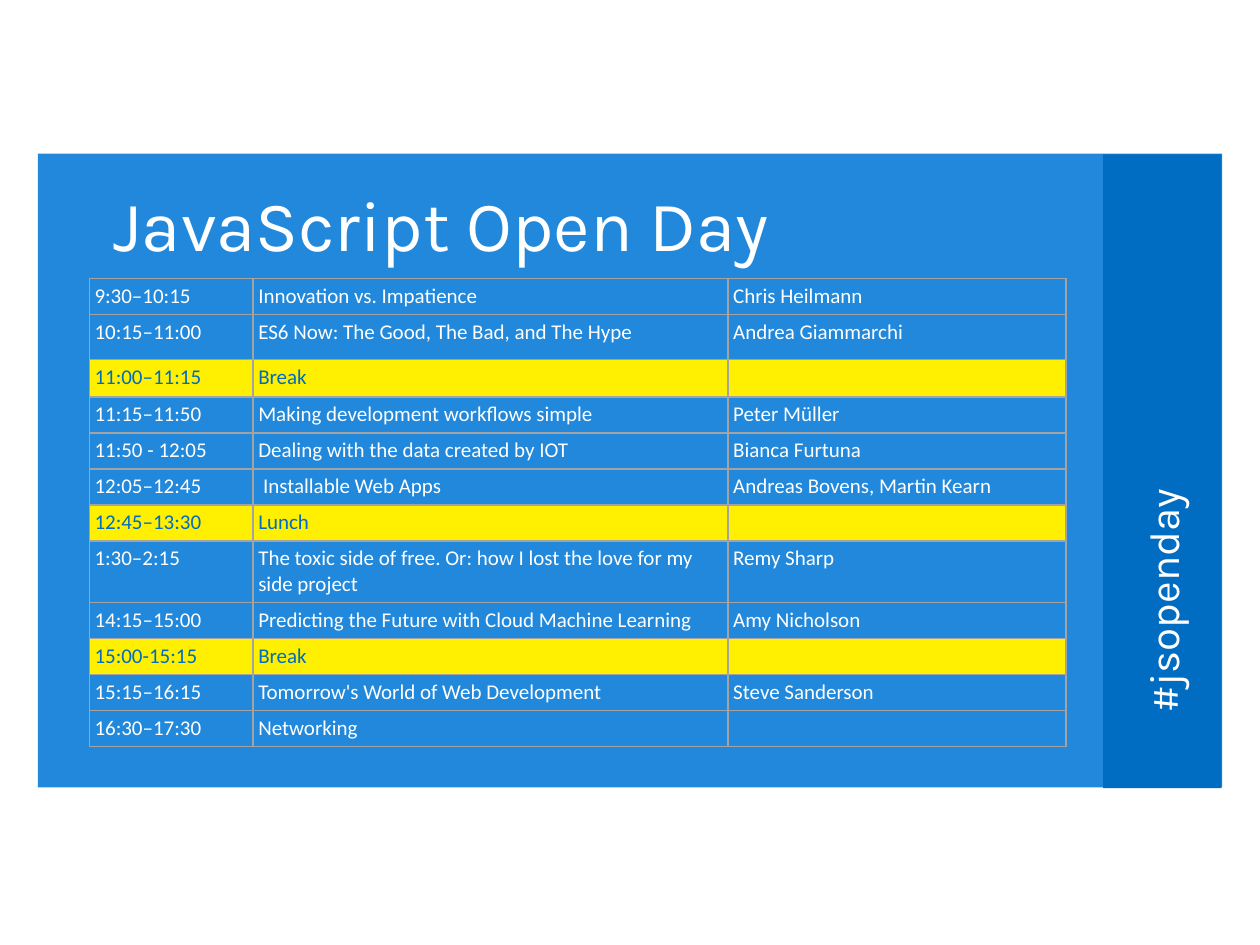
import pptx
import pptx.dml.color
import pptx.enum.shapes
import pptx.enum.text
import pptx.oxml
import pptx.oxml.ns
import pptx.util
from lxml import etree

Pt = pptx.util.Pt
RGB = pptx.dml.color.RGBColor
Anchor = pptx.enum.text.MSO_ANCHOR

BLUE = RGB(0x00, 0x77, 0xD6)
NAVY = RGB(0x00, 0x6C, 0xC2)
YELLOW = RGB(0xFE, 0xF0, 0x00)
GRAY = RGB(0xA3, 0xA3, 0xA3)
WHITE = RGB(0xFF, 0xFF, 0xFF)

TALKS = [
    ("9:30–10:15", "Innovation vs. Impatience", "Chris Heilmann"),
    ("10:15–11:00", "ES6 Now: The Good, The Bad, and The Hype", "Andrea Giammarchi"),
    ("11:00–11:15", "Break", ""),
    ("11:15–11:50", "Making development workflows simple", "Peter Müller"),
    ("11:50 - 12:05", "Dealing with the data created by IOT", "Bianca Furtuna"),
    ("12:05–12:45", " Installable Web Apps", "Andreas Bovens, Martin Kearn"),
    ("12:45–13:30", "Lunch", ""),
    ("1:30–2:15", "The toxic side of free. Or: how I lost the love for my side project",
     "Remy Sharp"),
    ("14:15–15:00", "Predicting the Future with Cloud Machine Learning", "Amy Nicholson"),
    ("15:00-15:15", "Break", ""),
    ("15:15–16:15", "Tomorrow's World of Web Development", "Steve Sanderson"),
    ("16:30–17:30", "Networking", ""),
]
PAUSES = ("Break", "Lunch")
COLS = (93.6, 271.4, 193)
ROW = 20.6
TALL = {1: 25.6, 2: 21.5, 7: 34.8}


def write(frame, text, font="Karla", size=12, color=WHITE, anchor=Anchor.TOP,
          pad=(7.2, 3.6, 7.2, 3.6)):
    frame.word_wrap = True
    frame.auto_size = pptx.enum.text.MSO_AUTO_SIZE.NONE
    frame.vertical_anchor = anchor
    (frame.margin_left, frame.margin_top,
     frame.margin_right, frame.margin_bottom) = map(Pt, pad)
    set_text(frame.paragraphs[0], text, font, size, color)


def set_text(para, text, font, size, color):
    para.alignment = pptx.enum.text.PP_ALIGN.LEFT
    para.font.size = Pt(size)
    if text:
        run = para.add_run()
        run.text = text
        run.font.name = font
        run.font.size = Pt(size)
        run.font.color.rgb = color
    else:
        pptx.oxml.ns.qn("a:endParaRPr")
        end = etree.SubElement(para._p, pptx.oxml.ns.qn("a:endParaRPr"))
        end.set("sz", str(size * 100))


def edge(cell, color, width):
    props = cell._tc.get_or_add_tcPr()
    for at, side in enumerate(("lnL", "lnR", "lnT", "lnB")):
        line = pptx.oxml.parse_xml(
            f'<a:{side} {pptx.oxml.ns.nsdecls("a")} w="{Pt(width)}">'
            f'<a:solidFill><a:srgbClr val="{color}"/></a:solidFill></a:{side}>')
        props.insert(at, line)


class Deck:
    def __init__(self, font="Calibri", size=12):
        self.font = font
        self.size = size
        self.file = pptx.Presentation()
        self.file.slide_width, self.file.slide_height = Pt(720), Pt(540)
        self.slide = self.file.slides.add_slide(self.file.slide_layouts[5])

    def title(self, text, box, fill, alpha, **form):
        shape = self.slide.shapes.title
        shape.left, shape.top, shape.width, shape.height = map(Pt, box)
        shape.fill.solid()
        shape.fill.fore_color.rgb = fill
        tint = shape._element.spPr.find(".//" + pptx.oxml.ns.qn("a:srgbClr"))
        etree.SubElement(tint, pptx.oxml.ns.qn("a:alpha")).set("val", str(alpha * 1000))
        write(shape.text_frame, text, **form)

    def band(self, text, box, fill, turn, **form):
        kind = pptx.enum.shapes.MSO_SHAPE.RECTANGLE
        shape = self.slide.shapes.add_shape(kind, *map(Pt, box))
        shape.rotation = turn
        shape.shadow.inherit = False
        shape.fill.solid()
        shape.fill.fore_color.rgb = fill
        shape.line.fill.background()
        write(shape.text_frame, text, **form)

    def table(self, rows, left, top):
        highs = [TALL.get(i, ROW) for i in range(len(rows))]
        grid = self.slide.shapes.add_table(
            len(rows), len(COLS), Pt(left), Pt(top), Pt(sum(COLS)), Pt(sum(highs))).table
        grid.first_row = grid.horz_banding = False
        for col, width in zip(grid.columns, COLS):
            col.width = Pt(width)
        for line, high, row in zip(grid.rows, highs, rows):
            line.height = Pt(high)
            for cell, text in zip(line.cells, row):
                self.cell(cell, text, row[1] in PAUSES)

    def cell(self, cell, text, pause):
        (cell.margin_left, cell.margin_top,
         cell.margin_right, cell.margin_bottom) = [Pt(2.9)] * 4
        if pause:
            cell.fill.solid()
            cell.fill.fore_color.rgb = YELLOW
        else:
            cell.fill.background()
        edge(cell, GRAY, 1)
        set_text(cell.text_frame.paragraphs[0], text, self.font, self.size,
                 NAVY if pause else WHITE)


def main():
    deck = Deck()
    deck.title("JavaScript Open Day", (21.6, 87.8, 676.8, 362.2), BLUE, 87,
               size=40.5, pad=(43.2, 15.5, 7.2, 3.6))
    deck.band("#jsopenday", (483.1, 235.4, 362.2, 67.7), NAVY, 270,
              size=24, anchor=Anchor.MIDDLE, pad=(43.2, 3.6, 7.2, 3.6))
    deck.table(TALKS, 51.1, 159.1)
    deck.file.save("out.pptx")


if __name__ == "__main__":
    main()
